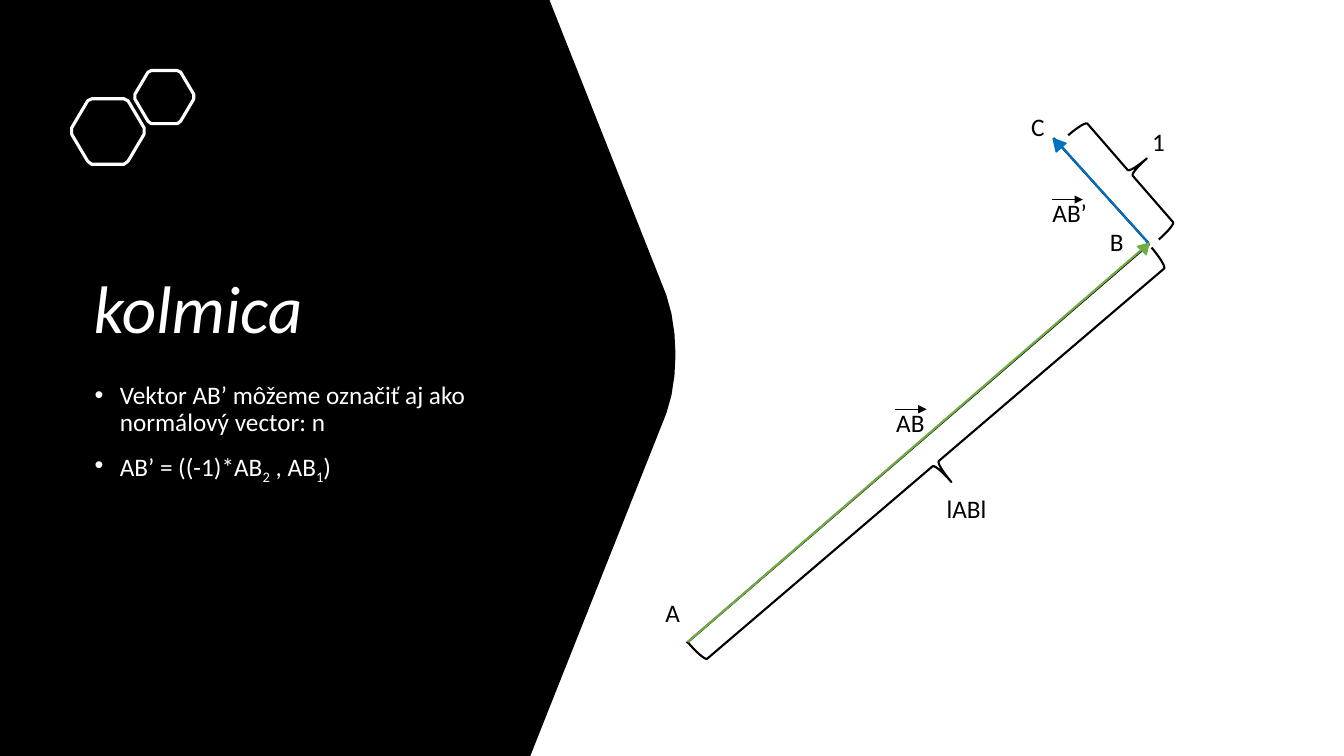
"""Build the slide about the perpendicular vector AB’."""
from lxml.etree import SubElement
from pptx import Presentation
from pptx.dml.color import RGBColor
from pptx.enum.shapes import MSO_CONNECTOR as Connector, MSO_SHAPE as Shape
from pptx.enum.text import MSO_ANCHOR as Anchor
from pptx.oxml.ns import qn
from pptx.util import Inches, Pt

BLACK = RGBColor(0x00, 0x00, 0x00)
WHITE = RGBColor(0xFF, 0xFF, 0xFF)
GREEN = RGBColor(0x70, 0xAD, 0x47)
BLUE = RGBColor(0x00, 0x70, 0xC0)
FONT = "Calibri"

presentation = Presentation()
presentation.slide_width = Inches(13.33)
presentation.slide_height = Inches(7.5)
slide = presentation.slides.add_slide(presentation.slide_layouts[6])
shapes = slide.shapes


def curve(steps, *controls):
    """Return points along a cubic curve."""
    points = []
    for step in range(steps + 1):
        t = step / steps
        weights = ((1 - t) ** 3, 3 * t * (1 - t) ** 2, 3 * t * t * (1 - t), t ** 3)
        points.append(tuple(sum(w * c[axis] for w, c in zip(weights, controls)) for axis in (0, 1)))
    return points


def add_run(paragraph, text, size, color):
    """Add one styled run."""
    run = paragraph.add_run()
    run.text = text
    run.font.name = FONT
    run.font.size = Pt(size)
    run.font.color.rgb = color
    return run


panel_points = [(0, 0), (5.45, 0)]
panel_points += curve(6, (6.61, 2.93), (6.73, 3.27), (6.73, 3.77), (6.61, 4.1))
panel_points += [(5.26, 7.5), (0, 7.5)]

HEXAGON_WIDTH = 0.74
left_side = (
    curve(1, (0.21, 0.65), (0.19, 0.65), (0.17, 0.64), (0.17, 0.62))
    + curve(1, (0.01, 0.35), (0, 0.33), (0, 0.31), (0.01, 0.29))
    + curve(1, (0.17, 0.02), (0.17, 0.01), (0.19, 0), (0.21, 0))
)
right_side = [(HEXAGON_WIDTH - x, y) for x, y in reversed(left_side)]
outlines = [(panel_points, BLACK)]
for left, top, scale in ((0.7, 0.98, 1), (1.33, 0.7, 0.81)):
    hexagon = [(left + scale * x, top + scale * y) for x, y in left_side + right_side]
    outlines.append((hexagon, None))

for points, fill in outlines:
    vertices = [(Inches(x), Inches(y)) for x, y in points]
    builder = shapes.build_freeform(*vertices[0])
    builder.add_line_segments(vertices[1:], close=True)
    outline = builder.convert_to_shape()
    outline.shadow.inherit = False
    if fill is None:
        outline.fill.background()
        outline.line.color.rgb = WHITE
        outline.line.width = Pt(2.25)
    else:
        outline.fill.solid()
        outline.fill.fore_color.rgb = fill
        outline.line.fill.background()

title = shapes.add_textbox(Inches(0.83), Inches(1.13), Inches(4.54), Inches(2.37))
title.text_frame.word_wrap = True
title.text_frame.vertical_anchor = Anchor.BOTTOM
title_paragraph = title.text_frame.paragraphs[0]
title_paragraph.line_spacing = 0.9
add_run(title_paragraph, "kolmica", 48, WHITE).font.italic = True

body = shapes.add_textbox(Inches(0.84), Inches(3.75), Inches(4.46), Inches(3))
body.text_frame.word_wrap = True
bullets = [
    [("Vektor AB’ môžeme označiť aj ako normálový vector: n", False)],
    [("AB’ = ((-1)*AB", False), ("2", True), (" , AB", False), ("1", True), (")", False)],
]
for index, pieces in enumerate(bullets):
    paragraph = body.text_frame.add_paragraph() if index else body.text_frame.paragraphs[0]
    paragraph.line_spacing = 0.9
    paragraph.space_before = Pt(10)
    properties = paragraph._p.get_or_add_pPr()
    properties.set("marL", str(Inches(0.25)))
    properties.set("indent", str(Inches(-0.25)))
    SubElement(properties, qn("a:buFont")).set("typeface", "Arial")
    SubElement(properties, qn("a:buChar")).set("char", "•")
    for text, subscript in pieces:
        run = add_run(paragraph, text, 18, WHITE)
        if subscript:
            run.font._element.set("baseline", "-25000")

lines = [
    (6.81, 6.38, 11.4, 2.42, BLACK, 1.5, False),
    (10.45, 1.37, 11.39, 2.41, BLACK, 1.5, False),
    (6.82, 6.37, 11.4, 2.41, GREEN, 1.5, False),
    (11.39, 2.41, 10.49, 1.41, BLUE, 1.5, False),
    (8.88, 4.06, 9.19, 4.06, BLACK, 0.5, True),
    (10.43, 1.98, 10.74, 1.98, BLACK, 0.5, True),
]
for x1, y1, x2, y2, color, width, arrow in lines:
    line = shapes.add_connector(Connector.STRAIGHT, Inches(x1), Inches(y1), Inches(x2), Inches(y2))
    line.line.color.rgb = color
    line.line.width = Pt(width)
    if arrow:
        SubElement(line.line._get_or_add_ln(), qn("a:tailEnd")).set("type", "triangle")
    SubElement(line._element.spPr, qn("a:effectLst"))

braces_and_tips = [
    (Shape.RIGHT_BRACE, 10.99, 1.03, 0.44, 1.37, 319, BLACK, 1.5),
    (Shape.RIGHT_BRACE, 9.04, 1.58, 0.48, 6.04, 49.5, BLACK, 1.5),
    (Shape.ISOSCELES_TRIANGLE, 11.3, 2.4, 0.12, 0.1, 44, GREEN, 1),
    (Shape.ISOSCELES_TRIANGLE, 10.42, 1.36, 0.13, 0.12, 318.4, BLUE, 1),
]
for kind, left, top, width, height, angle, color, weight in braces_and_tips:
    shape = shapes.add_shape(kind, Inches(left), Inches(top), Inches(width), Inches(height))
    shape.rotation = angle
    shape.shadow.inherit = False
    shape.line.color.rgb = color
    shape.line.width = Pt(weight)
    if kind == Shape.RIGHT_BRACE:
        shape.fill.background()
    else:
        shape.fill.solid()
        shape.fill.fore_color.rgb = color

labels = [
    ("A", 6.5, 5.88, 0.35),
    ("B", 10.91, 2.2, 0.34),
    ("C", 10.13, 1.06, 0.34),
    ("1", 11.33, 1.2, 0.33),
    ("lABl", 9.29, 4.84, 0.6),
    ("AB", 8.79, 3.99, 0.48),
    ("AB’", 10.34, 1.91, 0.55),
]
for text, left, top, width in labels:
    label = shapes.add_textbox(Inches(left), Inches(top), Inches(width), Inches(0.4))
    label.text_frame.word_wrap = False
    add_run(label.text_frame.paragraphs[0], text, 18, BLACK)

presentation.save("out.pptx")
